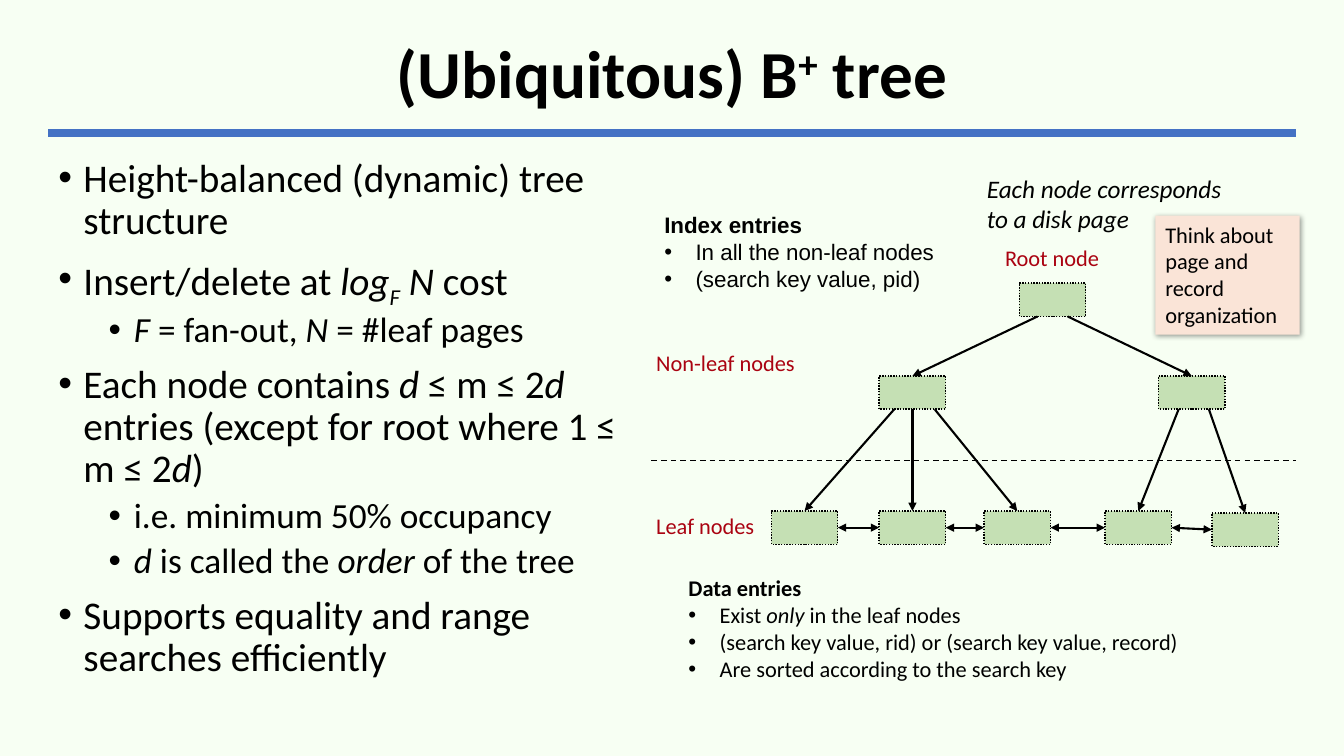
from pptx import Presentation
from pptx.dml.color import RGBColor as RGB
from pptx.enum.dml import MSO_LINE as Dash
from pptx.enum.shapes import MSO_CONNECTOR as Conn, MSO_SHAPE as Shape
from pptx.enum.text import MSO_ANCHOR as Anchor, MSO_AUTO_SIZE as Auto, PP_ALIGN as Align
from pptx.oxml import parse_xml
from pptx.oxml.ns import nsdecls
from pptx.util import Inches, Pt

HUES = {"back": "F7FFF3", "ink": "000000", "rule": "4472C4", "label": "AA0311",
        "node": "C5E0B4", "note": "FAE4D7"}
TOP, LEFT, BOTTOM, RIGHT = range(4)
WIDE, HIGH = 0.66, 0.33
PLAIN, SLANT, BOLD = {}, {"italic": True}, {"bold": True}
SUB, SUP = {"italic": True, "base": -25000}, {"bold": True, "base": 30000}
MAIN = {"size": 28, "mark": (0.25, 0.25), "before": 10, "line": 0.9}
MINOR = {"size": 25.2, "mark": (0.75, 0.25), "before": 5, "line": 0.9}
ITEM = {"mark": (0.31, 0.31)}


def hue(name):
    return RGB.from_string(HUES[name])


def xml(tag, attrs="", inner=""):
    return parse_xml(f"<a:{tag} {nsdecls('a')} {attrs}>{inner}</a:{tag}>")


class Deck:
    """Holds the shared style and the slide being drawn."""

    def __init__(self):
        self.show = Presentation()
        self.show.slide_width, self.show.slide_height = Inches(13.33), Inches(7.5)
        self.slide = self.show.slides.add_slide(self.show.slide_layouts[6])
        fill = self.slide.background.fill
        fill.solid()
        fill.fore_color.rgb = hue("back")
        self.shapes = self.slide.shapes
        self.style = {"font": "Calibri", "size": 16, "ink": "ink", "align": Align.LEFT,
                      "mark": None, "before": 0, "line": 1.0}

    def words(self, frame, paras, auto=Auto.SHAPE_TO_FIT_TEXT, anchor=Anchor.TOP, **style):
        """Fill a frame with paragraphs, each (runs, own style); a run is (text, look)."""
        form = {"word_wrap": True, "auto_size": auto, "vertical_anchor": anchor}
        for key, val in form.items():
            setattr(frame, key, val)
        for num, (runs, own) in enumerate(paras):
            look = {**self.style, **style, **own}
            para = frame.add_paragraph() if num else frame.paragraphs[0]
            if look["mark"]:
                self.bullet(para, *look["mark"])
            form = {"alignment": look["align"], "line_spacing": look["line"],
                    "space_before": Pt(look["before"] if num else 0)}
            for key, val in form.items():
                setattr(para, key, val)
            for text, face in runs:
                self.run(para, text, face, look)

    def bullet(self, para, left, hang):
        props = para._p.get_or_add_pPr()
        props.set("marL", str(Inches(left)))
        props.set("indent", str(-Inches(hang)))
        props.append(xml("buFont", 'typeface="Arial"'))
        props.append(xml("buChar", 'char="•"'))

    def run(self, para, text, face, look):
        run = para.add_run()
        run.text = text
        form = {"name": look["font"], "size": Pt(look["size"]), **face}
        base = form.pop("base", None)
        for key, val in form.items():
            setattr(run.font, key, val)
        run.font.color.rgb = hue(look["ink"])
        if base:
            run._r.get_or_add_rPr().set("baseline", str(base))

    def text(self, box, paras, **style):
        area = self.shapes.add_textbox(*map(Inches, box))
        self.words(area.text_frame, paras, **style)

    def rect(self, box, fill):
        rect = self.shapes.add_shape(Shape.RECTANGLE, *map(Inches, box))
        rect.shadow.inherit = False
        rect.fill.solid()
        rect.fill.fore_color.rgb = hue(fill)
        return rect

    def node(self, left, top):
        node = self.rect((left, top, WIDE, HIGH), "node")
        node.line.color.rgb = hue("ink")
        node.line.width = Pt(1)
        node.line.dash_style = Dash.ROUND_DOT
        return node

    def note(self, box, text):
        note = self.rect(box, "note")
        note.line.fill.background()
        glow = xml("outerShdw", 'blurRad="50800" dist="12700" dir="2700000" algn="tl"',
                   '<a:srgbClr val="000000"><a:alpha val="40000"/></a:srgbClr>')
        note._element.spPr.find(xml("effectLst").tag).append(glow)
        self.words(note.text_frame, [([(text, PLAIN)], {})])

    def line(self, start, end, ink="ink", width=1.5, dash=None, tips=()):
        line = self.shapes.add_connector(Conn.STRAIGHT, *map(Inches, (*start, *end)))
        line.line.color.rgb = hue(ink)
        line.line.width = Pt(width)
        if dash:
            line.line.dash_style = dash
        for tip in tips:
            line.get_or_add_ln().append(xml(tip, 'type="triangle"'))
        line._element.spPr.append(xml("effectLst"))
        return line

    def child(self, above, below, shift):
        """Arrow from a parent's lower side, shifted off its middle, to a child's top."""
        start = ((above.left + above.width / 2) / Inches(1) + shift,
                 (above.top + above.height) / Inches(1))
        arrow = self.line(start, (below.left / Inches(1), below.top / Inches(1)),
                          tips=["tailEnd"])
        if not shift:
            arrow.begin_connect(above, BOTTOM)
        arrow.end_connect(below, TOP)

    def peer(self, one, two):
        """Two-way arrow between neighbouring leaves."""
        arrow = self.line((0, 0), (1, 1), tips=["headEnd", "tailEnd"])
        arrow.begin_connect(one, RIGHT)
        arrow.end_connect(two, LEFT)


def main():
    deck = Deck()
    deck.line((0.48, 1.32), (12.85, 1.32), "rule", 6)
    deck.text((0.48, 0.24, 12.37, 1.04),
              [([("(Ubiquitous) B", BOLD), ("+", SUP), (" tree", BOLD)], {})],
              auto=Auto.NONE, anchor=Anchor.MIDDLE, size=48, align=Align.CENTER, line=0.9)
    deck.text((0.48, 1.52, 5.93, 5.63), [
        ([("Height-balanced (dynamic) tree structure", PLAIN)], MAIN),
        ([("Insert/delete at ", PLAIN), ("log", SLANT), ("F", SUB), (" N ", SLANT),
          ("cost", PLAIN)], MAIN),
        ([("F ", SLANT), ("= fan-out, ", PLAIN), ("N", SLANT), (" = #leaf pages", PLAIN)],
         MINOR),
        ([("Each node contains ", PLAIN), ("d ", SLANT), ("≤ m ≤ 2", PLAIN), ("d", SLANT),
          (" entries (except for root where 1 ≤ m ≤ 2", PLAIN), ("d", SLANT), (")", PLAIN)],
         MAIN),
        ([("i.e. minimum 50% occupancy", PLAIN)], MINOR),
        ([("d", SLANT), (" is called the ", PLAIN), ("order ", SLANT),
          ("of the tree", PLAIN)], MINOR),
        ([("Supports equality and range searches efficiently", PLAIN)], MAIN),
    ], auto=Auto.NONE)

    for left, top, width, name, align in (
            (6.41, 3.41, 1.74, "Non-leaf nodes", Align.LEFT),
            (6.41, 5.03, 1.19, "Leaf nodes", Align.LEFT),
            (9.84, 2.37, 1.19, "Root node", Align.CENTER)):
        deck.text((left, top, width, 0.37), [([(name, PLAIN)], {})], ink="label", align=align)

    root = deck.node(10.11, 2.81)
    inner = [deck.node(left, 3.73) for left in (8.72, 11.49)]
    deck.line((6.46, 4.57), (12.85, 4.57), width=1, dash=Dash.DASH)
    leaves = [deck.node(left, top) for left, top in (
        (7.65, 5.07), (8.72, 5.07), (9.76, 5.07), (10.96, 5.07), (12.02, 5.09))]
    for above, kids, shifts in ((root, inner, (-0.15, 0.15)),
                                (inner[0], leaves[:3], (-0.18, 0, 0.22)),
                                (inner[1], leaves[3:], (-0.13, 0.17))):
        for below, shift in zip(kids, shifts):
            deck.child(above, below, shift)
    for one, two in zip(leaves, leaves[1:]):
        deck.peer(one, two)

    deck.text((6.49, 2.05, 3.11, 0.91), [
        ([("Index entries", BOLD)], {}),
        ([("In all the non-leaf nodes", PLAIN)], ITEM),
        ([("(search key value, pid)", PLAIN)], ITEM),
    ], font="Arial")
    deck.text((9.69, 1.67, 2.62, 0.71),
              [([("Each node corresponds to a disk page", SLANT)], {})], size=18)
    deck.text((6.73, 5.65, 5.32, 1.18), [
        ([("Data entries", BOLD)], {}),
        ([("Exist ", PLAIN), ("only", SLANT), (" in the leaf nodes", PLAIN)], ITEM),
        ([("(search key value, rid) or (search key value, record)", PLAIN)], ITEM),
        ([("Are sorted according to the search key", PLAIN)], ITEM),
    ])
    deck.note((11.46, 2.14, 1.43, 1.18), "Think about page and record organization")
    deck.show.save("out.pptx")


if __name__ == "__main__":
    main()
